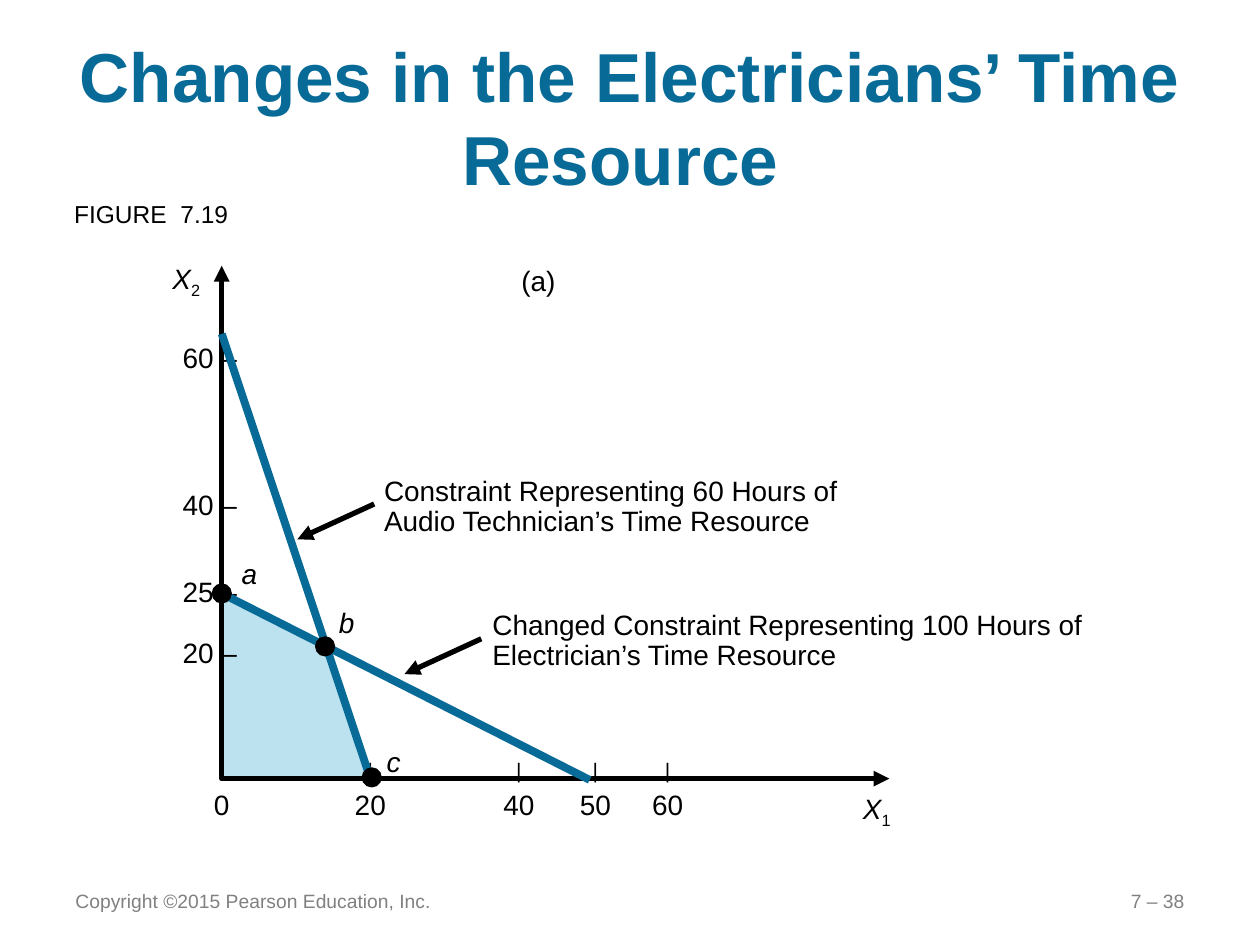
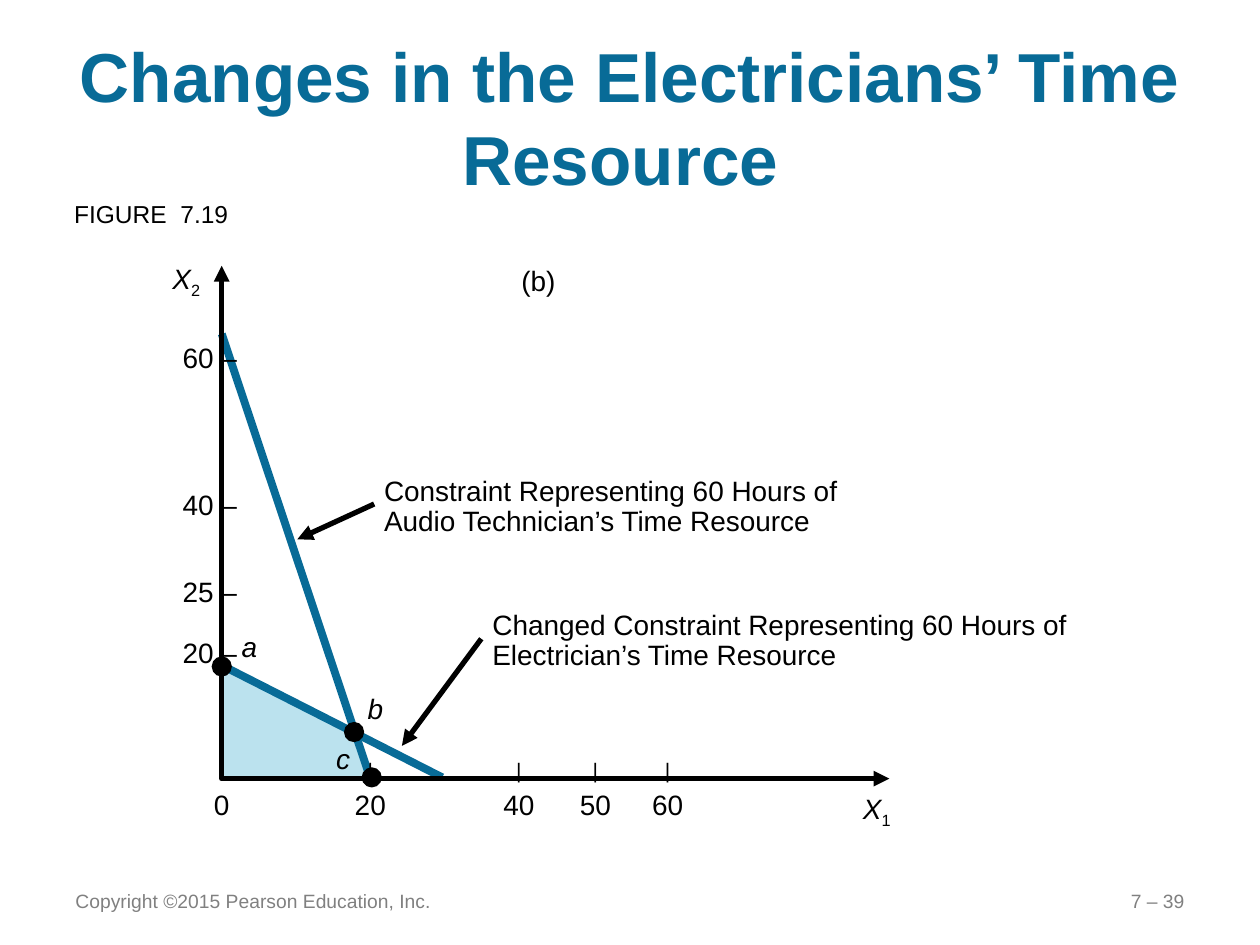
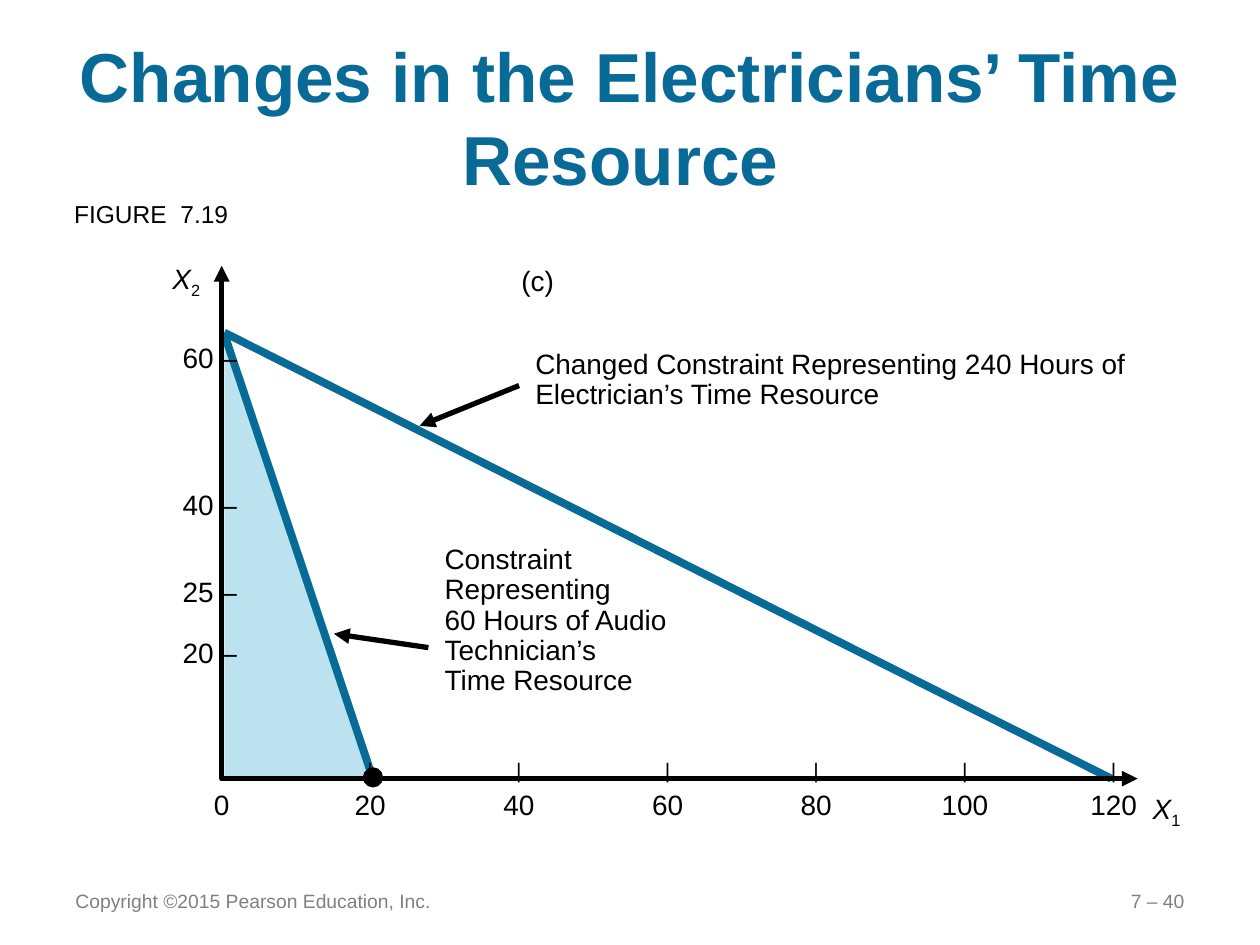
from dataclasses import dataclass, field

from lxml.etree import SubElement
from pptx import Presentation
from pptx.dml.color import RGBColor
from pptx.enum.shapes import MSO_CONNECTOR as Connector, MSO_SHAPE as Shape
from pptx.enum.text import MSO_ANCHOR as Anchor, MSO_AUTO_SIZE as AutoSize, PP_ALIGN as Align
from pptx.oxml.ns import qn
from pptx.util import Inches, Pt

BLUE = RGBColor(0x08, 0x6B, 0x97)
PALE_BLUE = RGBColor(0xBB, 0xE2, 0xEE)
BLACK = RGBColor(0, 0, 0)
GRAY = RGBColor(0x80, 0x80, 0x80)
WHITE = RGBColor(0xFF, 0xFF, 0xFF)
FONT = "Arial"
BODY = 16

TITLE = "Changes in the Electricians’ Time Resource "
COPYRIGHT = "Copyright ©2015 Pearson Education, Inc."
FIRST_PAGE = 38
AXIS_X, AXIS_TOP, AXIS_Y = 1.76, 2.11, 6.18
TICK_START, TICK_STEP = 0.19, 1.18
DOT = 0.15
AUDIO = "Constraint Representing 60 Hours of Audio Technician’s Time Resource"
AUDIO_LINE = ((1.76, 2.65), (2.94, 6.18))
AUDIO_CALLOUT = (AUDIO, (2.95, 3.74, 4.26, 0.59), (2.97, 4), (2.36, 4.28))


def electrician(hours):
    return f"Changed Constraint Representing {hours} Hours of Electrician’s Time Resource"


@dataclass
class Panel:
    letter: str
    region: list
    constraints: list
    corners: list       # dot centres
    callouts: list      # text, box, arrow start, arrow end
    corner_labels: list = field(default_factory=list)
    axis_end: float = 7.06
    scale_width: float = 4.55
    last_tick: int = 60
    x1_left: float = 6.75
    show_fifty: bool = True
    axes_on_top: bool = True


PANELS = [
    Panel("a",
          region=[(1.76, 4.71), (1.76, 6.17), (2.94, 6.17), (2.58, 5.12)],
          constraints=[AUDIO_LINE, ((1.76, 4.71), (4.68, 6.19))],
          corners=[(1.76, 4.71), (2.95, 6.17), (2.58, 5.13)],
          corner_labels=[("a", 1.82, 4.37), ("b", 2.59, 4.76), ("c", 2.97, 5.86)],
          callouts=[AUDIO_CALLOUT,
                    (electrician(100), (3.81, 4.8, 5, 0.59), (3.82, 5.07), (3.21, 5.35))],
          axes_on_top=False),
    Panel("b",
          region=[(1.76, 5.29), (1.76, 6.17), (2.94, 6.17), (2.82, 5.81)],
          constraints=[AUDIO_LINE, ((1.76, 5.28), (3.51, 6.17))],
          corners=[(1.76, 5.29), (2.95, 6.17), (2.81, 5.81)],
          corner_labels=[("a", 1.82, 4.95), ("b", 2.82, 5.44), ("c", 2.57, 5.84)],
          callouts=[AUDIO_CALLOUT,
                    (electrician(60), (3.81, 4.8, 5, 0.59), (3.82, 5.07), (3.19, 5.92))]),
    Panel("c",
          region=[(1.78, 2.67), (1.78, 6.17), (2.96, 6.17)],
          constraints=[((1.78, 2.65), (2.96, 6.18)), ((1.78, 2.64), (8.82, 6.18))],
          corners=[(2.96, 6.17)],
          callouts=[("Constraint Representing \v60 Hours of Audio Technician’s \vTime Resource",
                     (3.43, 4.28, 2.28, 1.31), (3.4, 5.14), (2.65, 5.03)),
                    (electrician(240), (4.15, 2.73, 5, 0.59), (4.12, 3.06), (3.33, 3.38))],
          axis_end=9.03, scale_width=8.14, last_tick=120, x1_left=9.05, show_fifty=False),
]


class Deck:
    def __init__(self):
        self.prs = Presentation()
        self.prs.slide_width, self.prs.slide_height = Inches(10), Inches(7.5)
        self.slide = None

    def new_slide(self, title, page):
        self.slide = self.prs.slides.add_slide(self.prs.slide_layouts[5])
        self.slide.background.fill.solid()
        self.slide.background.fill.fore_color.rgb = WHITE
        heading = self.slide.shapes.title
        heading.left, heading.top = Inches(0.5), Inches(0.3)
        heading.width, heading.height = Inches(9), Inches(1.25)
        frame = heading.text_frame
        frame.text = title
        frame.auto_size, frame.vertical_anchor = AutoSize.NONE, Anchor.MIDDLE
        self.style(frame.paragraphs[0], 39.6, BLUE, Align.CENTER, bold=True)
        self.footer(COPYRIGHT, 0.5, 3.08, Align.LEFT)
        self.footer(f"7 – {page}", 7.17, 2.33, Align.RIGHT)

    def style(self, paragraph, size, color=BLACK, align=Align.LEFT, bold=None, italic=None):
        font = paragraph.font
        font.name, font.size, font.bold, font.italic = FONT, Pt(size), bold, italic
        font.color.rgb = color
        paragraph.alignment = align

    def text(self, lines, left, top, width, height, sizes=(BODY,), color=BLACK,
             align=Align.LEFT, italic=None, spacing=None, tabs=(), wrap=False, grow=True):
        """Add a text box; the last of sizes serves all remaining lines."""
        box = self.slide.shapes.add_textbox(Inches(left), Inches(top), Inches(width), Inches(height))
        frame = box.text_frame
        frame.word_wrap = wrap
        frame.auto_size = AutoSize.SHAPE_TO_FIT_TEXT if grow else AutoSize.NONE
        for i, line in enumerate(lines):
            paragraph = frame.add_paragraph() if i else frame.paragraphs[0]
            paragraph.text = line
            if tabs:
                tab_list = SubElement(paragraph._p.get_or_add_pPr(), qn("a:tabLst"))
                for stop in tabs:
                    SubElement(tab_list, qn("a:tab"), pos=str(Inches(stop)), algn="ctr")
            self.style(paragraph, sizes[min(i, len(sizes) - 1)], color, align, italic=italic)
            if spacing:
                paragraph.line_spacing = spacing
        return frame

    def footer(self, line, left, width, align):
        frame = self.text([line], left, 6.95, width, 0.4, (11,), GRAY, align, wrap=True, grow=False)
        frame.vertical_anchor = Anchor.MIDDLE

    def variable(self, index, left, top):
        """Add an italic X with a subscript index."""
        paragraph = self.text(["X"], left, top, 0.45, 0.37).paragraphs[0]
        paragraph.runs[0].font.italic = True
        subscript = paragraph.add_run()
        subscript.text = index
        subscript._r.get_or_add_rPr().set("baseline", "-25000")

    def outline(self, points, closed):
        start, *rest = [(Inches(x), Inches(y)) for x, y in points]
        builder = self.slide.shapes.build_freeform(*start)
        builder.add_line_segments(rest, close=closed)
        shape = builder.convert_to_shape()
        shape.shadow.inherit = False
        return shape

    def area(self, points):
        shape = self.outline(points, closed=True)
        shape.fill.solid()
        shape.fill.fore_color.rgb = PALE_BLUE
        shape.line.fill.background()

    def stroke(self, line, color, width, ends=()):
        line.color.rgb, line.width = color, Pt(width)
        for end in ends:
            SubElement(line._get_or_add_ln(), qn(f"a:{end}"), type="triangle")

    def axis_pair(self, end):
        shape = self.outline([(AXIS_X, AXIS_TOP), (AXIS_X, AXIS_Y), (end, AXIS_Y)], closed=False)
        shape.fill.background()
        self.stroke(shape.line, BLACK, 3, ("headEnd", "tailEnd"))

    def line(self, start, end, color, width, ends=()):
        connector = self.slide.shapes.add_connector(
            Connector.STRAIGHT, *(Inches(v) for v in (*start, *end)))
        self.stroke(connector.line, color, width, ends)
        SubElement(connector._element.spPr, qn("a:effectLst"))

    def dot(self, x, y):
        shape = self.slide.shapes.add_shape(
            Shape.OVAL, Inches(x - DOT / 2), Inches(y - DOT / 2), Inches(DOT), Inches(DOT))
        shape.shadow.inherit = False
        shape.fill.solid()
        shape.fill.fore_color.rgb = BLACK
        self.stroke(shape.line, BLACK, 0.75)

    def axes(self, panel):
        self.axis_pair(panel.axis_end)
        self.text(["60 –", "40 –", "20 –"], 1.33, 1.75, 0.65, 3.49, align=Align.RIGHT, spacing=4.39)
        self.text(["25 –"], 1.35, 4.51, 0.63, 0.37, align=Align.RIGHT)
        ticks = range(0, panel.last_tick + 1, 20)
        stops = [TICK_START + TICK_STEP * i for i in range(len(ticks))]
        marks = "\t" + "\t|" * (len(ticks) - 1)
        values = "".join(f"\t{tick}" for tick in ticks)
        self.text([marks, values], 1.47, 5.93, panel.scale_width, 0.64, (12, BODY),
                  spacing=1.15, tabs=stops, wrap=True)
        if panel.show_fifty:
            self.text(["|", "50"], 4.5, 5.93, 0.45, 0.64, (12, BODY),
                      align=Align.CENTER, spacing=1.15)
        self.variable("1", panel.x1_left, 6.23)
        self.variable("2", 1.27, 2.03)

    def plot(self, panel):
        for start, end in panel.constraints:
            self.line(start, end, BLUE, 4.5)
        for corner in panel.corners:
            self.dot(*corner)
        for letter, left, top in panel.corner_labels:
            self.text([letter], left, top, 0.38, 0.37, italic=True)
        for label, box, start, end in panel.callouts:
            self.text([label], *box, spacing=0.9, wrap=True)
            self.line(start, end, BLACK, 3, ("tailEnd",))

    def figure(self, panel):
        self.text(["FIGURE  7.19"], 0.49, 1.53, 1.44, 0.34, (14,))
        self.text([f"({panel.letter})"], 4.04, 2.04, 0.48, 0.37)
        self.area(panel.region)
        layers = [self.plot, self.axes] if panel.axes_on_top else [self.axes, self.plot]
        for draw in layers:
            draw(panel)


def main():
    deck = Deck()
    for page, panel in enumerate(PANELS, FIRST_PAGE):
        deck.new_slide(TITLE, page)
        deck.figure(panel)
    deck.prs.save("out.pptx")


if __name__ == "__main__":
    main()
